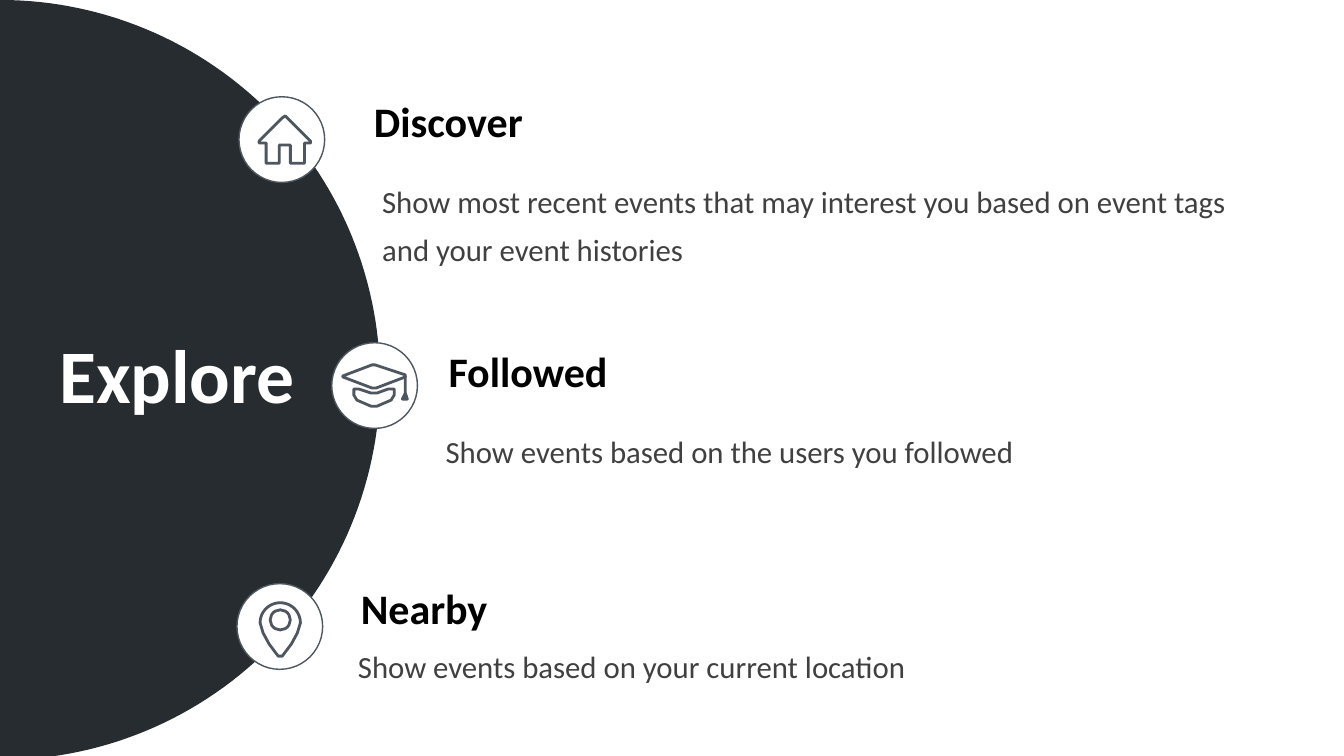
from dataclasses import dataclass
from math import cos, pi, sin

from pptx import Presentation
from pptx.dml.color import RGBColor
from pptx.enum.shapes import MSO_SHAPE
from pptx.enum.text import MSO_ANCHOR, PP_ALIGN
from pptx.util import Inches, Pt


@dataclass(frozen=True)
class Theme:
    font: str = "Calibri"
    dark: RGBColor = RGBColor(0x27, 0x2C, 0x30)
    icon: RGBColor = RGBColor(0x4E, 0x57, 0x5F)
    body: RGBColor = RGBColor(0x40, 0x40, 0x40)
    heading: RGBColor = RGBColor(0, 0, 0)
    white: RGBColor = RGBColor(0xFF, 0xFF, 0xFF)
    title_size: Pt = Pt(54)
    heading_size: Pt = Pt(30)
    body_size: Pt = Pt(22)
    badge_line: Pt = Pt(1)
    icon_line: Pt = Pt(2)


THEME = Theme()
BADGE_SIZE = 0.85

# Icon outlines in inches, measured from the top left of the badge
HOUSE = [(0.51, 0.66), (0.51, 0.48), (0.4, 0.48), (0.4, 0.66), (0.27, 0.66),
         (0.27, 0.46), (0.2, 0.46), (0.2, 0.44), (0.43, 0.21), (0.46, 0.19),
         (0.48, 0.21), (0.71, 0.44), (0.71, 0.46), (0.65, 0.46), (0.65, 0.66)]
CAP_BOARD = [(0.11, 0.33), (0.4, 0.22), (0.43, 0.22), (0.73, 0.32),
             (0.73, 0.34), (0.44, 0.45), (0.4, 0.45), (0.11, 0.34)]
CAP_BASE = [(0.22, 0.46), (0.27, 0.46), (0.39, 0.5), (0.45, 0.5),
            (0.56, 0.46), (0.62, 0.46), (0.62, 0.52), (0.59, 0.57),
            (0.45, 0.63), (0.39, 0.63), (0.25, 0.57), (0.22, 0.52)]
CAP_TASSEL = [(0.73, 0.33), (0.73, 0.5), (0.7, 0.56), (0.75, 0.56), (0.73, 0.5)]
PIN_TAPER = [(0.2, 0), (0.17, 0.1), (0.11, 0.21), (0.02, 0.33)]


def arc(center_x, center_y, radius, start, end, steps):
    """Points on an arc; angles run clockwise from three o'clock."""
    angles = [start + (end - start) * step / steps for step in range(steps + 1)]
    return [(center_x + radius * cos(angle), center_y + radius * sin(angle))
            for angle in angles]


def pin_outline(center_x=0.43, center_y=0.39):
    right = [(center_x + x, center_y + y) for x, y in PIN_TAPER]
    left = [(center_x - x, center_y + y) for x, y in reversed(PIN_TAPER)]
    return arc(center_x, center_y, 0.2, pi, 2 * pi, 24) + right + left


def style_shape(shape, fill=None, line=None, line_width=None):
    shape.shadow.inherit = False
    if fill is None:
        shape.fill.background()
    else:
        shape.fill.solid()
        shape.fill.fore_color.rgb = fill
    if line is None:
        shape.line.fill.background()
    else:
        shape.line.color.rgb = line
        shape.line.width = line_width


def add_outline(shapes, points, left=0, top=0, close=True):
    corners = [(Inches(left + x), Inches(top + y)) for x, y in points]
    builder = shapes.build_freeform(*corners[0])
    builder.add_line_segments(corners[1:], close=close)
    return builder.convert_to_shape()


def add_circle(shapes, left, top, size, fill, line_width):
    circle = shapes.add_shape(MSO_SHAPE.OVAL, Inches(left), Inches(top),
                              Inches(size), Inches(size))
    style_shape(circle, fill, THEME.icon, line_width)


def add_badge(slide, left, top, outlines, strokes=(), rings=()):
    """White disc with an icon of closed outlines, open strokes and rings."""
    shapes = slide.shapes.add_group_shape().shapes
    add_circle(shapes, left, top, BADGE_SIZE, THEME.white, THEME.badge_line)
    for points, close in [(p, True) for p in outlines] + [(p, False) for p in strokes]:
        outline = add_outline(shapes, points, left, top, close)
        style_shape(outline, None, THEME.icon, THEME.icon_line)
    for x, y, size in rings:
        add_circle(shapes, left + x, top + y, size, None, THEME.icon_line)


def add_text(slide, text, box, size, color, bold=False, line_spacing=0.9,
             align=PP_ALIGN.LEFT, anchor=MSO_ANCHOR.MIDDLE, insets=(0.1, 0.05)):
    frame = slide.shapes.add_textbox(*map(Inches, box)).text_frame
    frame.word_wrap = True
    frame.vertical_anchor = anchor
    frame.margin_left = frame.margin_right = Inches(insets[0])
    frame.margin_top = frame.margin_bottom = Inches(insets[1])
    paragraph = frame.paragraphs[0]
    paragraph.alignment = align
    paragraph.line_spacing = line_spacing
    run = paragraph.add_run()
    run.text = text
    run.font.name = THEME.font
    run.font.size = size
    run.font.bold = bold
    run.font.color.rgb = color


def add_heading(slide, text, left, top):
    add_text(slide, text, (left, top, 5.35, 0.59), THEME.heading_size,
             THEME.heading, bold=True)


def add_description(slide, text, box):
    add_text(slide, text, box, THEME.body_size, THEME.body, line_spacing=1.3,
             anchor=MSO_ANCHOR.TOP, insets=(0.07, 0.04))


def main():
    presentation = Presentation()
    presentation.slide_width = Inches(13.33)
    presentation.slide_height = Inches(7.5)
    slide = presentation.slides.add_slide(presentation.slide_layouts[6])

    half_disc = add_outline(slide.shapes, arc(0, 3.77, 3.77, -pi / 2, pi / 2, 120))
    style_shape(half_disc, THEME.dark)
    add_text(slide, "Explore", (0.43, 3.28, 2.65, 0.97), THEME.title_size,
             THEME.white, bold=True, align=PP_ALIGN.CENTER)

    add_badge(slide, 2.37, 0.96, [HOUSE])
    add_heading(slide, "Discover", 3.61, 0.93)
    add_description(slide, "Show most recent events that may interest you based on "
                    "event tags and your event histories", (3.72, 1.66, 8.58, 1))

    add_badge(slide, 3.29, 3.4, [CAP_BOARD, CAP_BASE], strokes=[CAP_TASSEL])
    add_heading(slide, "Followed", 4.35, 3.41)
    add_description(slide, "Show events based on the users you followed",
                    (4.35, 4.14, 6.08, 0.52))

    add_badge(slide, 2.35, 5.79, [pin_outline()], rings=[(0.33, 0.26, 0.2)])
    add_heading(slide, "Nearby", 3.48, 5.77)
    add_description(slide, "Show events based on your current location",
                    (3.48, 6.28, 8.58, 0.52))

    presentation.save("out.pptx")


if __name__ == "__main__":
    main()
